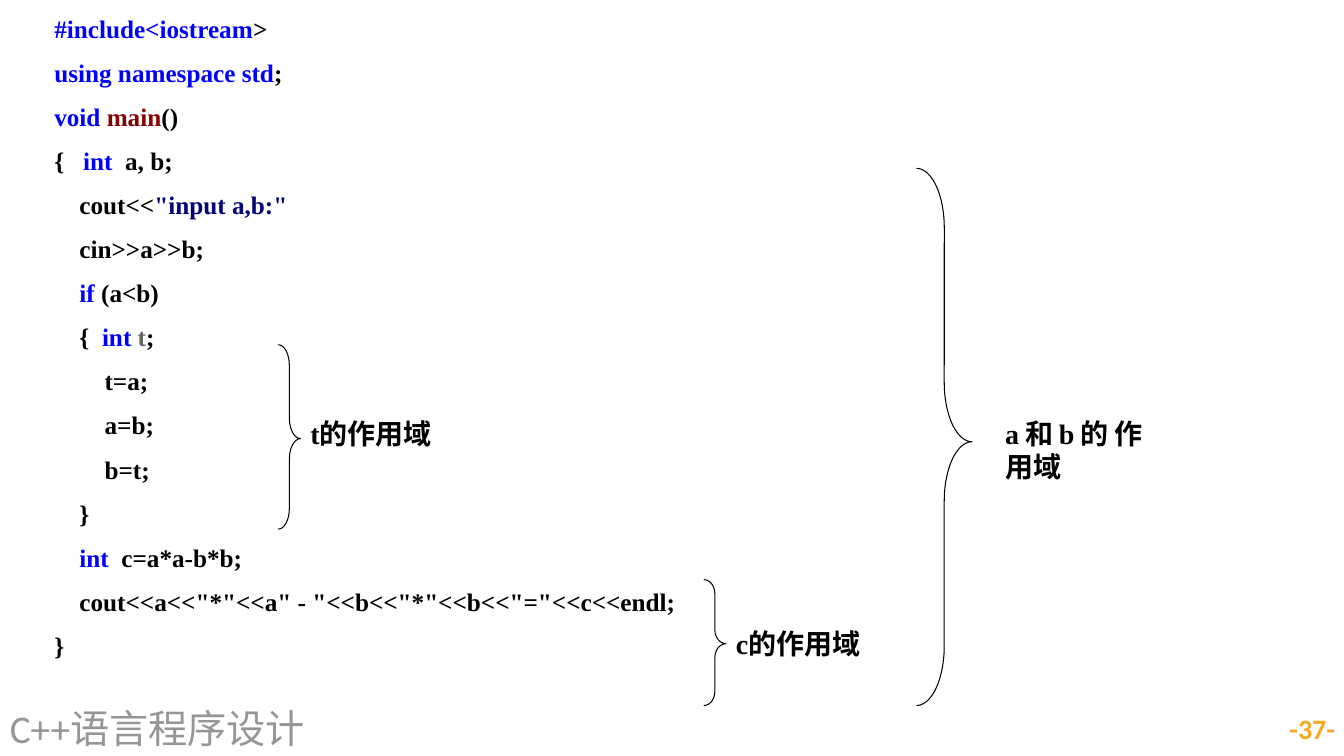
"""Build a slide on the scope of local variables in a C++ program."""
import pptx
import pptx.dml.color
import pptx.enum.shapes
import pptx.enum.text
import pptx.util

Inches = pptx.util.Inches
Pt = pptx.util.Pt
RGBColor = pptx.dml.color.RGBColor
ALIGN = pptx.enum.text.PP_ALIGN
ANCHOR = pptx.enum.text.MSO_ANCHOR

BLACK = RGBColor(0x00, 0x00, 0x00)
KEYWORD = RGBColor(0x00, 0x00, 0xFF)
FUNCTION = RGBColor(0x88, 0x00, 0x00)
STRING = RGBColor(0x00, 0x00, 0x77)
VARIABLE = RGBColor(0x66, 0x66, 0x66)
GREY = RGBColor(0x96, 0x96, 0x96)
ORANGE = RGBColor(0xF8, 0xA7, 0x20)

CODE = [
    [("#include<iostream", KEYWORD), (">", BLACK)],
    [("using namespace std", KEYWORD), (";", BLACK)],
    [("void ", KEYWORD), ("main", FUNCTION), ("()", BLACK)],
    [("{   ", BLACK), ("int", KEYWORD), ("  a, b;", BLACK)],
    [("    cout<<", BLACK), ('"input a,b:"', STRING)],
    [("    cin>>a>>b;", BLACK)],
    [("    ", BLACK), ("if", KEYWORD), (" (a<b)", BLACK)],
    [("    {  ", BLACK), ("int ", KEYWORD), ("t", VARIABLE), (";", BLACK)],
    [("        t=a;", BLACK)],
    [("        a=b;", BLACK)],
    [("        b=t;", BLACK)],
    [("    }", BLACK)],
    [("    ", BLACK), ("int", KEYWORD), ("  c=a*a-b*b;", BLACK)],
    [('    cout<<a<<"*"<<a" - "<<b<<"*"<<b<<"="<<c<<endl;', BLACK)],
    [("}", BLACK)],
]
CODE_BOX = (0.44, 0.08, 12.44, 6.77)

SCOPES = [
    ("t的作用域", (2.98, 4.08, 1.89, 0.5), (2.76, 3.42, 0.22, 1.83), 0.926),
    ("c的作用域", (7.2, 6.17, 2, 0.5), (6.98, 5.75, 0.22, 1.25), 0.632),
    ("a和b的作用域", (9.87, 4.08, 1.56, 1), (9.09, 1.67, 0.55, 5.33), 1.071),
]
BRACE_TIP = 0.509

COURSE = ("C++语言程序设计", (0, 6.95, 8.78, 0.55))
PAGE = ("-37-", (9.56, 6.95, 3.78, 0.55))

CODE_FONT = {"name": "Times New Roman", "size": Pt(18), "bold": True}
SCOPE_FONT = {"name": "Times New Roman", "size": Pt(20), "bold": True}
COURSE_FONT = {"name": "Calibri", "size": Pt(28), "bold": False}
PAGE_FONT = {"name": "Calibri", "size": Pt(20), "bold": True}


def add_text(slide, box, lines, font, align=ALIGN.LEFT, anchor=ANCHOR.TOP, gap=0):
    """Add a text box with one paragraph for each list of coloured pieces."""
    frame = slide.shapes.add_textbox(*map(Inches, box)).text_frame
    frame.word_wrap = True
    frame.vertical_anchor = anchor
    for index, pieces in enumerate(lines):
        paragraph = frame.add_paragraph() if index else frame.paragraphs[0]
        paragraph.alignment = align
        if index and gap:
            paragraph.space_before = Pt(gap)
        for words, color in pieces:
            run = paragraph.add_run()
            run.text = words
            for key, value in font.items():
                setattr(run.font, key, value)
            run.font.color.rgb = color


def add_brace(slide, box, curve):
    """Add a thin right brace that marks a scope."""
    brace = slide.shapes.add_shape(
        pptx.enum.shapes.MSO_SHAPE.RIGHT_BRACE, *map(Inches, box))
    brace.adjustments[0] = curve
    brace.adjustments[1] = BRACE_TIP
    brace.shadow.inherit = False
    brace.fill.background()
    brace.line.color.rgb = BLACK
    brace.line.width = Pt(0.75)


def main():
    """Lay out the footer, the code and the scopes, then save."""
    deck = pptx.Presentation()
    deck.slide_width, deck.slide_height = Inches(13.33), Inches(7.5)
    slide = deck.slides.add_slide(deck.slide_layouts[6])

    course, course_box = COURSE
    add_text(slide, course_box, [[(course, GREY)]], COURSE_FONT, anchor=ANCHOR.MIDDLE)
    page, page_box = PAGE
    add_text(slide, page_box, [[(page, ORANGE)]], PAGE_FONT, ALIGN.RIGHT, ANCHOR.MIDDLE)

    add_text(slide, CODE_BOX, CODE, CODE_FONT, gap=9.9)
    for label, label_box, brace_box, curve in SCOPES:
        add_brace(slide, brace_box, curve)
        add_text(slide, label_box, [[(label, BLACK)]], SCOPE_FONT, ALIGN.JUSTIFY)

    deck.save("out.pptx")


if __name__ == "__main__":
    main()
